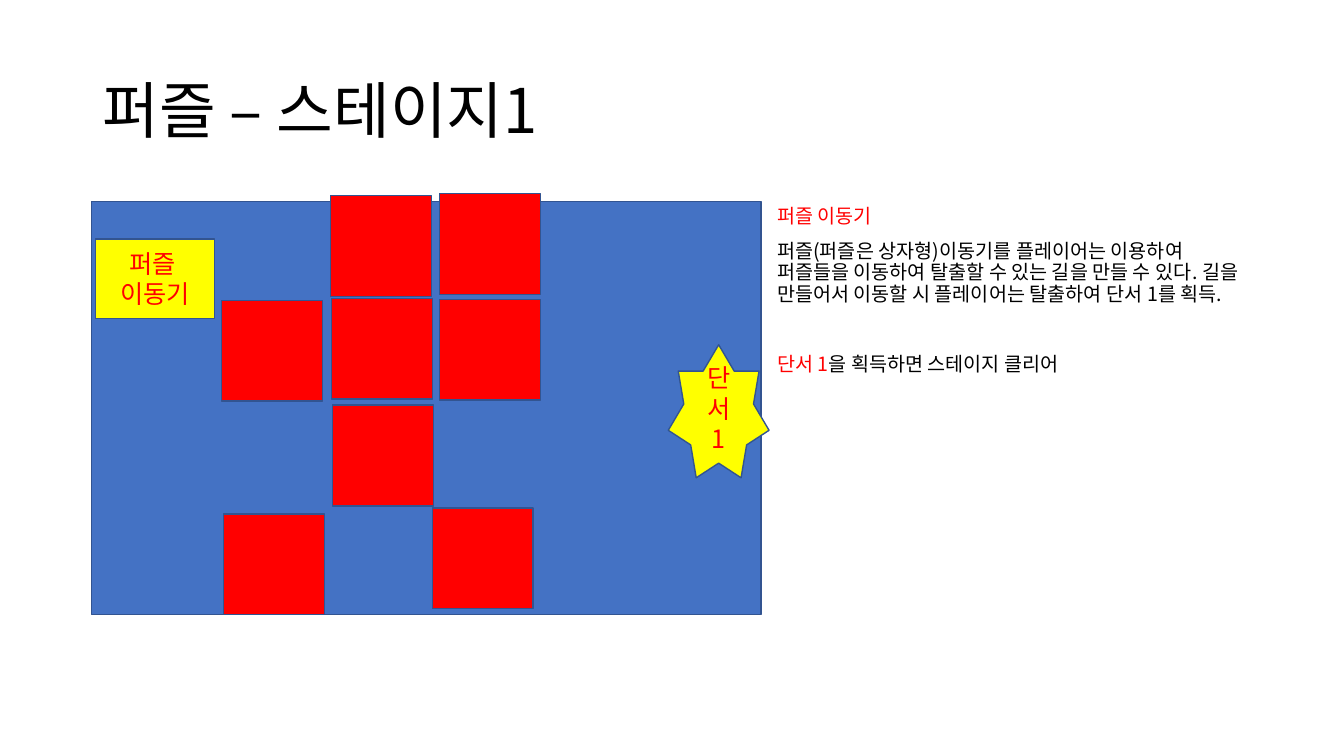
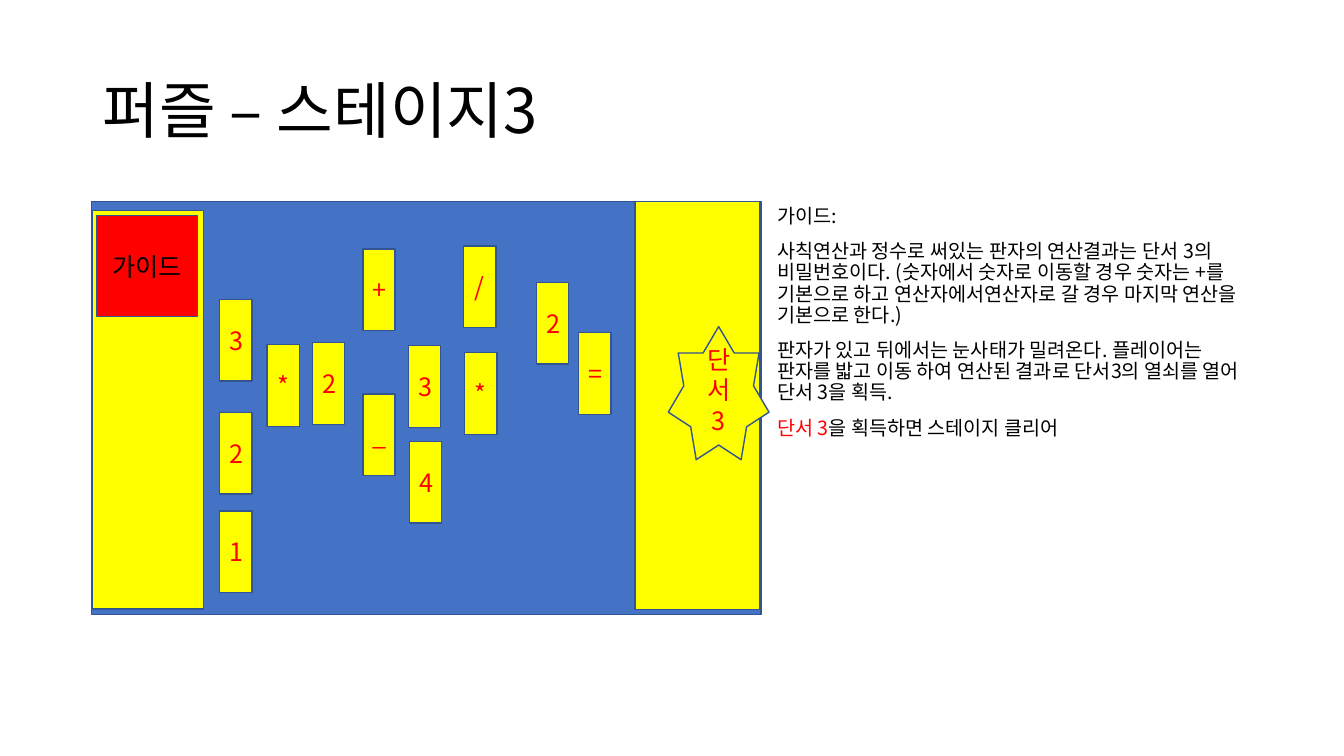
from dataclasses import dataclass

from lxml import etree
from pptx import Presentation
from pptx.dml.color import RGBColor
from pptx.enum.shapes import MSO_SHAPE
from pptx.enum.text import MSO_ANCHOR, MSO_AUTO_SIZE, PP_ALIGN
from pptx.oxml.ns import qn
from pptx.util import Inches, Length, Pt

RECTANGLE = MSO_SHAPE.RECTANGLE
STAR = MSO_SHAPE.STAR_7_POINT
LEFT, CENTER = PP_ALIGN.LEFT, PP_ALIGN.CENTER
TOP, MIDDLE = MSO_ANCHOR.TOP, MSO_ANCHOR.MIDDLE

FONT = "Noto Sans CJK KR"
BLUE, RED, YELLOW = "4472C4", "FF0000", "FFFF00"
OUTLINE, BLACK = "325491", "000000"

# Lengths are counted in grid columns and rows of a tenth of an inch
COLUMNS, ROWS = 133.33, 75
TILE = 10
PLANK_WIDTH, PLANK_HEIGHT = 3.2, 8.1


@dataclass(frozen=True)
class Box:
    left: float
    top: float
    width: float
    height: float
    fill: str = YELLOW
    lines: tuple[str, ...] = ()
    color: str = RED
    kind: int = RECTANGLE


@dataclass(frozen=True)
class Note:
    runs: tuple[tuple[str, str], ...]
    space_before: float = 10


@dataclass(frozen=True)
class Stage:
    number: int
    notes: tuple[Note, ...]
    boxes: tuple[Box, ...]


TITLE_AREA = Box(9.2, 4, 115, 14.5)
BODY_AREA = Box(76.1, 20, 48.1, 47.6)
BOARD = Box(9.1, 20, 66.4, 41, BLUE)


def grid(count: float) -> Length:
    return Inches(count / 10)


def rgb(color: str) -> RGBColor:
    return RGBColor.from_string(color)


def set_font(paragraph, size: float, color: str | None = None) -> None:
    font = paragraph.font
    font.size, font.name = Pt(size), FONT
    if color:
        font.color.rgb = rgb(color)
    # Korean letters take the East Asian typeface
    latin = paragraph._p.pPr.find(qn("a:defRPr")).find(qn("a:latin"))
    east_asian = etree.Element(qn("a:ea"))
    east_asian.set("typeface", FONT)
    latin.addnext(east_asian)


def place(shape, area: Box) -> None:
    shape.left, shape.top = grid(area.left), grid(area.top)
    shape.width, shape.height = grid(area.width), grid(area.height)


def draw_box(slide, box: Box) -> None:
    shape = slide.shapes.add_shape(
        box.kind, grid(box.left), grid(box.top), grid(box.width), grid(box.height))
    shape.shadow.inherit = False
    shape.fill.solid()
    shape.fill.fore_color.rgb = rgb(box.fill)
    shape.line.color.rgb = rgb(OUTLINE)
    shape.line.width = Pt(1)
    if box.lines:
        frame = shape.text_frame
        frame.word_wrap = True
        frame.vertical_anchor = MIDDLE
        frame.text = "\n".join(box.lines)
        for paragraph in frame.paragraphs:
            paragraph.alignment = CENTER
            set_font(paragraph, 18, box.color)


def write_title(shape, text: str) -> None:
    frame = shape.text_frame
    frame.auto_size = MSO_AUTO_SIZE.NONE
    frame.vertical_anchor = MIDDLE
    frame.text = text
    paragraph = frame.paragraphs[0]
    paragraph.alignment = LEFT
    paragraph.line_spacing = 0.9
    set_font(paragraph, 44, BLACK)


def write_notes(shape, notes: tuple[Note, ...]) -> None:
    frame = shape.text_frame
    frame.auto_size = MSO_AUTO_SIZE.NONE
    frame.vertical_anchor = TOP
    for index, note in enumerate(notes):
        paragraph = frame.add_paragraph() if index else frame.paragraphs[0]
        paragraph.alignment = LEFT
        paragraph.line_spacing = 0.9
        paragraph.space_before = Pt(note.space_before)
        # Plain paragraphs without bullet or indent
        properties = paragraph._p.get_or_add_pPr()
        properties.set("marL", "0")
        properties.set("indent", "0")
        etree.SubElement(properties, qn("a:buNone"))
        set_font(paragraph, 14)
        for text, color in note.runs:
            run = paragraph.add_run()
            run.text = text
            run.font.color.rgb = rgb(color)


def clear_note(number: int, space_before: float = 10) -> Note:
    return Note(((f"단서 {number}", RED), ("을 획득하면 스테이지 클리어", BLACK)), space_before)


def clue(number: int, top: float) -> Box:
    return Box(66.3, top, 10, 13.2, lines=(f"단서{number}",), kind=STAR)


def draw_stage(presentation, layout, stage: Stage) -> None:
    slide = presentation.slides.add_slide(layout)
    write_title(slide.shapes.title, f"퍼즐 – 스테이지{stage.number}")
    write_notes(slide.placeholders[1], stage.notes)
    for box in (BOARD, *stage.boxes):
        draw_box(slide, box)


# Left and top of the movable puzzle tiles
TILES = (
    (32.8, 19.4), (43.6, 19.2),
    (22, 29.8), (32.9, 29.6), (43.6, 29.7),
    (33, 40.2),
    (22.2, 51), (42.9, 50.4),
)

# Symbol, left and top of the planks
PLANKS = (
    ("3", 21.8, 29.7), ("2", 21.8, 40.9), ("1", 21.8, 50.7),
    ("*", 26.5, 34.2), ("2", 31, 34),
    ("+", 36, 24.7), ("_", 36, 39.1),
    ("3", 40.5, 34.3), ("4", 40.6, 43.8),
    ("/", 46, 24.4), ("*", 46.1, 35),
    ("2", 53.2, 28), ("=", 57.4, 33),
)

STAGES = (
    Stage(
        1,
        (
            Note((("퍼즐 이동기", RED),)),
            Note((("퍼즐(퍼즐은 상자형)이동기를 플레이어는 이용하여 퍼즐들을 이동하여 "
                   "탈출할 수 있는 길을 만들 수 있다. 길을 만들어서 이동할 시 "
                   "플레이어는 탈출하여 단서 1를 획득.", BLACK),)),
            clear_note(1, space_before=35),
        ),
        (
            clue(1, 34.2),
            *(Box(left, top, TILE, TILE, RED) for left, top in TILES),
            Box(9.5, 23.7, 11.8, 7.9, lines=("퍼즐 ", "이동기")),
        ),
    ),
    Stage(
        3,
        (
            Note((("가이드:", BLACK),)),
            Note((("사칙연산과 정수로 써있는 판자의 연산결과는 단서 3의 비밀번호이다. "
                   "(숫자에서 숫자로 이동할 경우 숫자는 +를 기본으로 하고 "
                   "연산자에서연산자로 갈 경우 마지막 연산을 기본으로 한다.)", BLACK),)),
            Note((("판자가 있고 뒤에서는 눈사태가 밀려온다. 플레이어는 판자를 밟고 "
                   "이동 하여 연산된 결과로 단서3의 열쇠를 열어 단서 3을 획득.", BLACK),)),
            clear_note(3),
        ),
        (
            *(Box(left, top, PLANK_WIDTH, PLANK_HEIGHT, lines=(symbol,))
              for symbol, left, top in PLANKS),
            Box(9.2, 20.9, 11, 39.5),
            Box(63, 20, 12.4, 40.5),
            clue(3, 32.4),
            Box(9.6, 21.4, TILE, TILE, RED, ("가이드",), BLACK),
        ),
    ),
)


def main() -> None:
    presentation = Presentation()
    presentation.slide_width, presentation.slide_height = grid(COLUMNS), grid(ROWS)
    # Title and text areas shared by all stages
    layout = presentation.slide_layouts[1]
    for placeholder, area in zip(layout.placeholders, (TITLE_AREA, BODY_AREA)):
        place(placeholder, area)
    for stage in STAGES:
        draw_stage(presentation, layout, stage)
    presentation.save("out.pptx")


if __name__ == "__main__":
    main()
